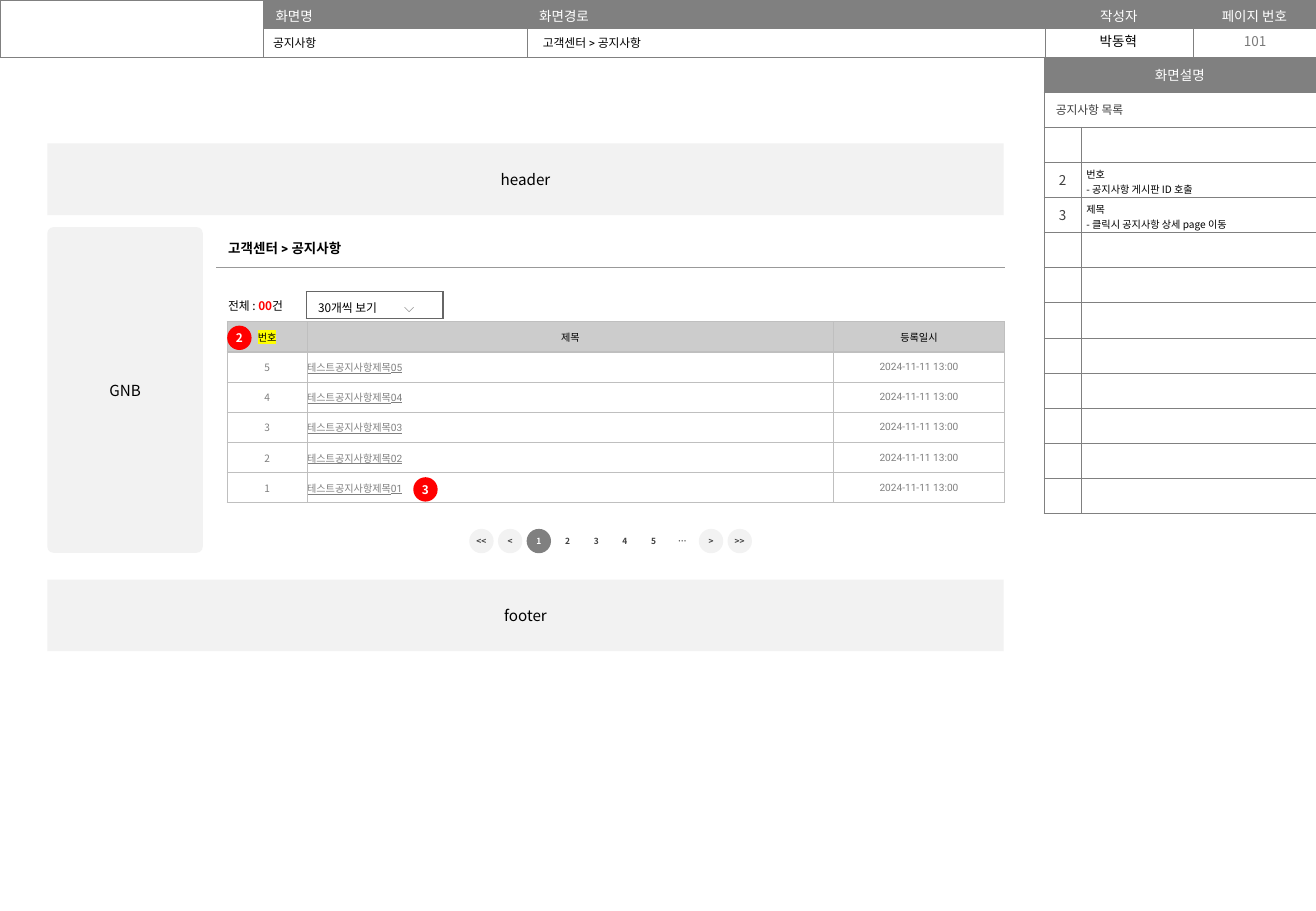
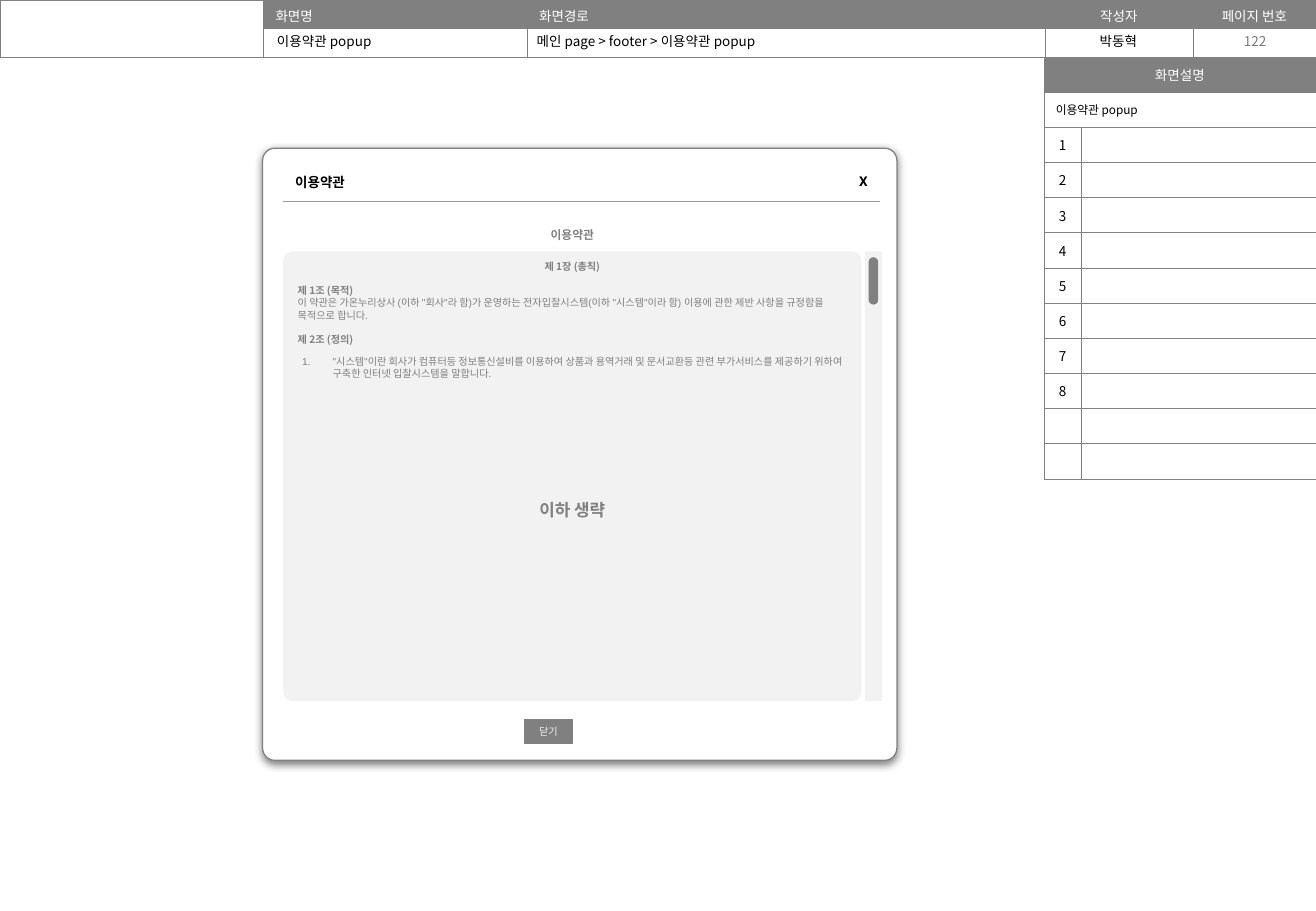
from lxml import etree
from pptx import Presentation
from pptx import util as u
from pptx.dml.color import RGBColor
from pptx.enum import shapes, text
from pptx.oxml.ns import qn

NOTO, ROBOTO, ARIAL = "Noto Sans CJK KR", "Roboto", "Arial"
BLACK, WHITE, GRAY, DARK, PALE, RED = "000000", "FFFFFF", "808080", "404040", "F2F2F2", "FF0000"
CENTER, RIGHT = text.PP_ALIGN.CENTER, text.PP_ALIGN.RIGHT
TOP, MIDDLE = text.MSO_ANCHOR.TOP, text.MSO_ANCHOR.MIDDLE
INSETS = (0.25, 0.13, 0.25, 0.13)
FLUSH = (0, 0, 0, 0)
FRAME_BORDER = (GRAY, 0.25, "LRTB")


def rgb(value):
    return RGBColor.from_string(value)


def child(parent, tag, **attributes):
    return etree.SubElement(parent, qn(tag), **attributes)


def span(words, size=8, color=BLACK, name=NOTO, mark=None, **font):
    return words, color, mark, {"size": u.Pt(size), "name": name, **font}


def line(*spans, **layout):
    return spans, layout


def centered(*args, **font):
    return line(span(*args, **font), alignment=CENTER)


class Wireframe:
    def __init__(self, deck):
        self.deck = deck
        self.page = None

    def set_lines(self, frame, lines):
        if not lines:
            child(frame.paragraphs[0]._p, "a:endParaRPr", sz="600")
        for index, (spans, layout) in enumerate(lines):
            para = frame.paragraphs[0] if index == 0 else frame.add_paragraph()
            self.arrange(para, dict(layout))
            for words, color, mark, font in spans:
                run = para.add_run()
                run.text = words
                for key, value in font.items():
                    setattr(run.font, key, value)
                run.font.color.rgb = rgb(color)
                latin = run._r.rPr.find(qn("a:latin"))
                latin.addnext(etree.Element(qn("a:ea"), typeface=NOTO))
                if mark:
                    highlight = etree.Element(qn("a:highlight"))
                    child(highlight, "a:srgbClr", val=mark)
                    latin.addprevious(highlight)

    def arrange(self, para, layout):
        numbered, tab = layout.pop("numbered", False), layout.pop("tab", None)
        for key, value in layout.items():
            setattr(para, key, value)
        props = para._p.get_or_add_pPr()
        if numbered:
            props.set("marL", str(u.Cm(0.73)))
            props.set("indent", str(-u.Cm(0.64)))
            child(props, "a:buFont", typeface=ARIAL)
            child(props, "a:buAutoNum", type="arabicPeriod")
        if tab:
            child(child(props, "a:tabLst"), "a:tab", pos=str(u.Cm(tab)), algn="l")

    def inset(self, target, margins):
        for side, value in zip(("left", "top", "right", "bottom"), margins):
            setattr(target, "margin_" + side, u.Cm(value))

    def label(self, at, content, anchor=TOP):
        box = self.page.shapes.add_textbox(*map(u.Cm, at))
        frame = box.text_frame
        frame.word_wrap = True
        frame.vertical_anchor = anchor
        self.inset(frame, INSETS)
        self.set_lines(frame, [content])

    def shape(self, at, fill=PALE, lines=(), radius=0, border=None, margins=FLUSH, anchor=MIDDLE):
        kind = shapes.MSO_SHAPE.ROUNDED_RECTANGLE if radius else shapes.MSO_SHAPE.RECTANGLE
        box = self.page.shapes.add_shape(kind, *map(u.Cm, at))
        box.shadow.inherit = False
        if radius:
            box.adjustments[0] = radius
        if fill:
            box.fill.solid()
            box.fill.fore_color.rgb = rgb(fill)
        else:
            box.fill.background()
        if border:
            box.line.color.rgb = rgb(GRAY)
            box.line.width = u.Pt(border)
        else:
            box.line.fill.background()
        if lines:
            frame = box.text_frame
            frame.word_wrap = True
            frame.vertical_anchor = anchor
            self.inset(frame, margins)
            self.set_lines(frame, lines)
        return box

    def drop_shadow(self, box):
        effects = box._element.spPr.find(qn("a:effectLst"))
        shadow = child(effects, "a:outerShdw", blurRad=str(u.Pt(4.5)), dist=str(u.Pt(1.5)),
                       dir="5400000", algn="t", rotWithShape="0")
        child(child(shadow, "a:srgbClr", val=BLACK), "a:alpha", val="49000")

    def badge(self, left, top, number):
        self.shape((left, top, 0.51, 0.51), RED, [centered(number, 7, WHITE, bold=True)], 0.5)

    def table(self, at, widths, rows):
        grid = self.page.shapes.add_table(len(rows), len(widths), *map(u.Cm, at)).table
        grid.first_row = grid.horz_banding = False
        for column, width in zip(grid.columns, widths):
            column.width = u.Cm(width)
        for r, row in enumerate(rows):
            for c, style in enumerate(row):
                self.cell(grid.cell(r, c), **style)
        return grid

    def cell(self, cell, lines=(), fill=None, border=FRAME_BORDER, margins=INSETS, anchor=MIDDLE):
        self.inset(cell, margins)
        cell.vertical_anchor = anchor
        self.set_lines(cell.text_frame, lines)
        if fill:
            cell.fill.solid()
            cell.fill.fore_color.rgb = rgb(fill)
        else:
            cell.fill.background()
        color, width, sides = border
        props = cell._tc.get_or_add_tcPr()
        for index, side in enumerate("LRTB"):
            edge = etree.Element(qn("a:ln" + side), w=str(u.Pt(width)))
            if side in sides:
                child(child(edge, "a:solidFill"), "a:srgbClr", val=color)
            else:
                child(edge, "a:noFill")
            props.insert(index, edge)

    def start(self, number):
        self.page = self.deck.slides.add_slide(self.deck.slide_layouts[6])
        heads = [line(span(name, 8, WHITE)) for name in ("화면명", "화면경로")]
        heads += [centered(name, 8, WHITE) for name in ("작성자", "페이지 번호")]
        band = [{}] + [dict(lines=[head], fill=GRAY, margins=(0.25, 0.13, 0.25, 0), anchor=TOP)
                       for head in heads]
        grid = self.table((0, 0, 27.51, 1.19), (5.51, 5.51, 10.82, 3.1, 2.57), [band, [{}] * 5])
        grid.cell(0, 0).merge(grid.cell(1, 0))
        self.label((21.82, 0.56, 3.12, 0.61), centered("박동혁"))
        self.label((24.97, 0.56, 2.54, 0.61), centered(number, 8, "797979"), MIDDLE)

    def description(self, height, title, color, notes):
        rows = [[dict(lines=[centered("화면설명", 8, WHITE)], fill=GRAY), dict(fill=GRAY)],
                [dict(lines=[line(span(title, 7, color))]), {}]]
        for number, *remarks in notes:
            rows.append([dict(lines=[centered(number, 8, color)] if number else ()),
                         dict(lines=[line(span(remark, 6)) for remark in remarks],
                              margins=(0.1, 0.1, 0.1, 0), anchor=TOP)])
        grid = self.table((21.82, 1.19, 5.69, height), (0.79, 4.9), rows)
        for r in range(2):
            grid.cell(r, 0).merge(grid.cell(r, 1))

    def heading(self, left, top, width, title, mark=None):
        border = ("999999", 0.75, "B")
        row = [dict(lines=[line(span(title, 8, BLACK, ROBOTO, bold=True))], border=border),
               dict(lines=[line(span(mark, 8, BLACK, ROBOTO, bold=True), alignment=RIGHT)] if mark else (),
                    border=border)]
        self.table((left, top, width, 0.84), (width / 2, width / 2), [row])


def notice_list(w):
    w.start("101")
    w.label((5.46, 0.61, 5.64, 0.56), line(span("공지사항", 7, BLACK, ROBOTO)))
    w.label((11.1, 0.61, 10.7, 0.56), line(span("고객센터 > 공지사항", 7, BLACK, ROBOTO)))
    w.description(9.55, "공지사항 목록", DARK, [
        ("",), ("2", "번호", "- 공지사항 게시판 ID 호출"),
        ("3", "제목", "- 클릭시 공지사항 상세 page 이동")] + [("",)] * 8)

    for name, at, radius in (("header", (0.99, 3, 19.99, 1.5), 0),
                             ("GNB", (0.99, 4.75, 3.25, 6.81), 0.04),
                             ("footer", (0.99, 12.12, 19.99, 1.5), 0)):
        w.shape(at, PALE, [centered(name, 9)], radius)
    w.heading(4.52, 4.75, 16.48, "고객센터 > 공지사항")

    style = dict(border=("BFBFBF", 0.75, "LRTB"), margins=FLUSH)
    rows = [[dict(lines=[centered(name, 6, BLACK, ROBOTO, mark)], fill="CCCCCC", **style)
             for name, mark in (("번호", "FFFF00"), ("제목", None), ("등록일시", None))]]
    for number in range(5, 0, -1):
        entries = (centered(str(number), 6, GRAY),
                   line(span(f"테스트공지사항제목{number:02}", 6, GRAY, ROBOTO, underline=True)),
                   centered("2024-11-11 13:00", 6, GRAY, ROBOTO))
        rows.append([dict(lines=[entry], fill=WHITE, **style) for entry in entries])
    w.table((4.75, 6.73, 16.24, 3.79), (1.67, 11.01, 3.56), rows)

    tight = (0.25, 0.1, 0, 0.1)
    total = line(span("전체 : ", 7), span("00", 7, RED, bold=True), span("건", 7))
    choice = line(span("30개씩 보기\t", 7), span("⌵", 8, "7F7F7F"), tab=1.8)
    w.table((4.52, 6.1, 4.74, 0.56), (1.88, 2.86), [[
        dict(lines=[total], border=("666666", 0.75, "R"), margins=tight),
        dict(lines=[choice], border=("666666", 0.75, "LRTB"), margins=tight)]])

    for index, name in enumerate(("<<", "<", "1", "2", "3", "4", "5", "⋯", ">", ">>")):
        fill = GRAY if name == "1" else PALE if name[0] in "<>" else None
        w.shape((9.81 + 0.6 * index, 11.06, 0.51, 0.51), fill,
                [centered(name, 5, WHITE if name == "1" else DARK, bold=True)], 0.5 if fill else 0)
    w.badge(8.64, 9.98, "3")
    w.badge(4.75, 6.81, "2")


def terms_popup(w):
    w.start("122")
    w.description(8.82, "이용약관 popup", BLACK,
                  [(str(number),) for number in range(1, 9)] + [("",)] * 2)
    w.label((5.54, 0.56, 5.46, 0.61), line(span("이용약관 popup")))
    w.label((10.97, 0.56, 5.46, 0.61), line(span("메인 page > footer > 이용약관 popup")))

    w.drop_shadow(w.shape((5.49, 3.1, 13.26, 12.8), WHITE, radius=0.02, border=0.75))
    w.heading(5.92, 3.38, 12.47, "이용약관", "X")
    w.shape((5.92, 4.52, 12.09, 0.76), WHITE, [line(span("이용약관", 7, GRAY, bold=True))],
            0.02, margins=INSETS)

    def clause(words, bold=True, before=0, **layout):
        return line(span(words, 6, GRAY, NOTO if bold else ARIAL, bold=bold),
                    line_spacing=u.Pt(7.2), space_before=u.Pt(before), **layout)

    w.shape((5.92, 5.26, 12.09, 9.4), PALE, [
        clause("제 1장 (총칙)"),
        clause("제 1조 (목적)", before=7.2),
        clause('이 약관은 가온누리상사 (이하 "회사"라 함)가 운영하는 전자입찰시스템(이하 "시스템"이라 함) '
               '이용에 관한 제반 사항을 규정함을 목적으로 합니다.', False),
        clause("제 2조 (정의)", before=7.2),
        clause('"시스템"이란 회사가 컴퓨터등 정보통신설비를 이용하여 상품과 용역거래 및 문서교환등 관련 '
               '부가서비스를 제공하기 위하여 구축한 인터넷 입찰시스템을 말합니다.', False, 6, numbered=True),
        line(span("이하 생략", 10, GRAY, ARIAL, bold=True), alignment=CENTER, space_before=u.Pt(71)),
    ], 0.02, margins=INSETS, anchor=TOP)
    w.shape((18.08, 5.26, 0.36, 9.4))
    w.shape((18.16, 5.38, 0.2, 0.99), GRAY, radius=0.5)
    w.shape((10.97, 15.04, 0.99, 0.51), GRAY, [centered("닫기", 6, PALE, ROBOTO)], border=0.5)


def main():
    deck = Presentation()
    deck.slide_width, deck.slide_height = u.Cm(27.51), u.Cm(19.05)
    wireframe = Wireframe(deck)
    notice_list(wireframe)
    terms_popup(wireframe)
    deck.save("out.pptx")


if __name__ == "__main__":
    main()
